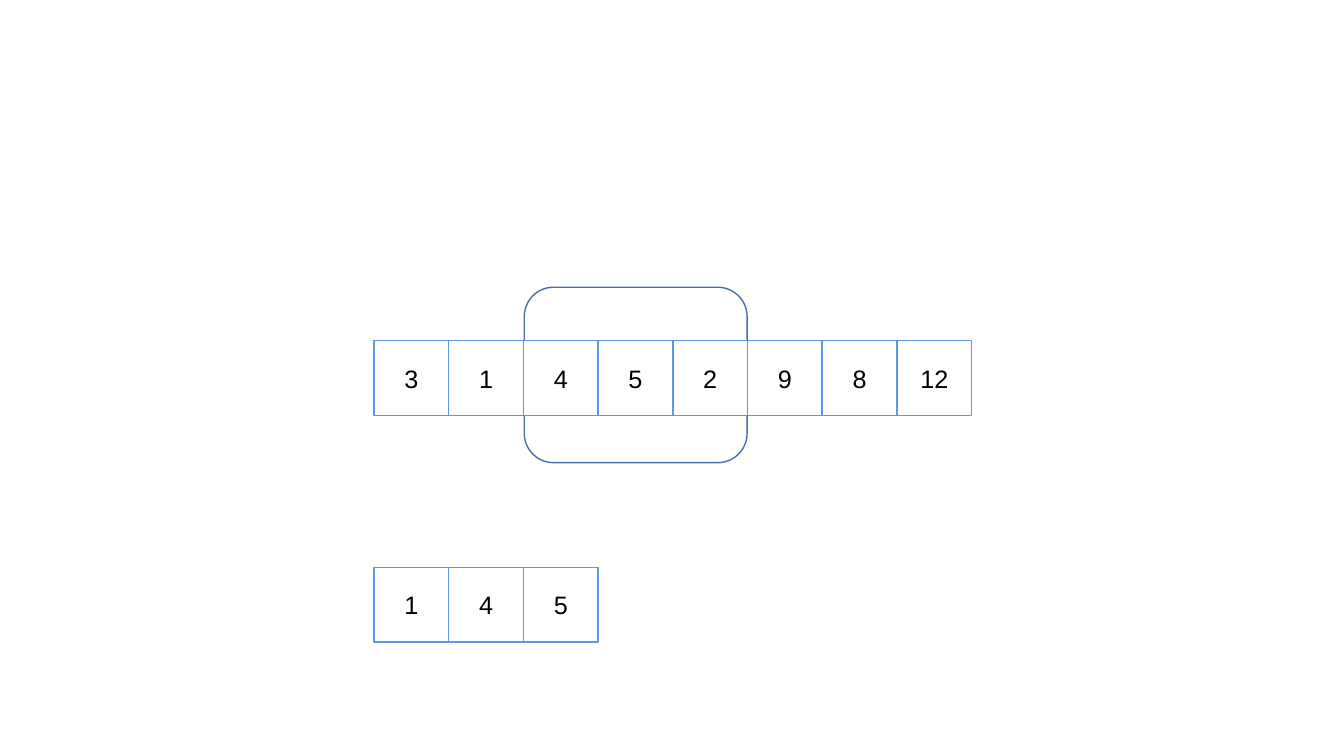
from pptx import Presentation, util as u
from pptx.dml.color import RGBColor
from pptx.enum import shapes, text

WHITE = RGBColor(0xFF, 0xFF, 0xFF)
BLACK = RGBColor(0x00, 0x00, 0x00)
CELL_BLUE = RGBColor(0x60, 0x96, 0xE6)
WINDOW_BLUE = RGBColor(0x47, 0x6F, 0xAA)

ROW_LEFT = 3.71
CELL_SIZE = 0.74
CELL_STEP = 0.741


class ArrayDiagram:
    """Holds the style and the current slide."""
    font_name = "Arial"
    font_size = u.Pt(18)
    line_width = u.Pt(1)

    def __init__(self, slide):
        self.slide = slide

    def outline(self, kind, left, top, width, height, color):
        shape = self.slide.shapes.add_shape(
            kind, u.Inches(left), u.Inches(top), u.Inches(width), u.Inches(height))
        shape.shadow.inherit = False
        shape.fill.background()
        shape.line.color.rgb = color
        shape.line.width = self.line_width
        return shape

    def window(self, left, top, width, height):
        self.outline(shapes.MSO_SHAPE.ROUNDED_RECTANGLE,
                     left, top, width, height, WINDOW_BLUE)

    def cell(self, value, left, top):
        shape = self.outline(shapes.MSO_SHAPE.RECTANGLE,
                             left, top, CELL_SIZE, CELL_SIZE, CELL_BLUE)
        shape.fill.solid()
        shape.fill.fore_color.rgb = WHITE
        shape.text_frame.vertical_anchor = text.MSO_ANCHOR.MIDDLE
        paragraph = shape.text_frame.paragraphs[0]
        paragraph.text = str(value)
        paragraph.alignment = text.PP_ALIGN.CENTER
        paragraph.font.name = self.font_name
        paragraph.font.size = self.font_size
        paragraph.font.color.rgb = BLACK

    def row(self, values, top):
        for index, value in enumerate(values):
            self.cell(value, ROW_LEFT + index * CELL_STEP, top)


presentation = Presentation()
presentation.slide_width = u.Inches(13.33)
presentation.slide_height = u.Inches(7.5)
diagram = ArrayDiagram(presentation.slides.add_slide(presentation.slide_layouts[6]))

# Sliding window behind the array
diagram.window(5.2, 2.85, 2.21, 1.74)

# Full array
diagram.row([3, 1, 4, 5, 2, 9, 8, 12], top=3.38)

# Short array below
diagram.row([1, 4, 5], top=5.63)

presentation.save("out.pptx")
